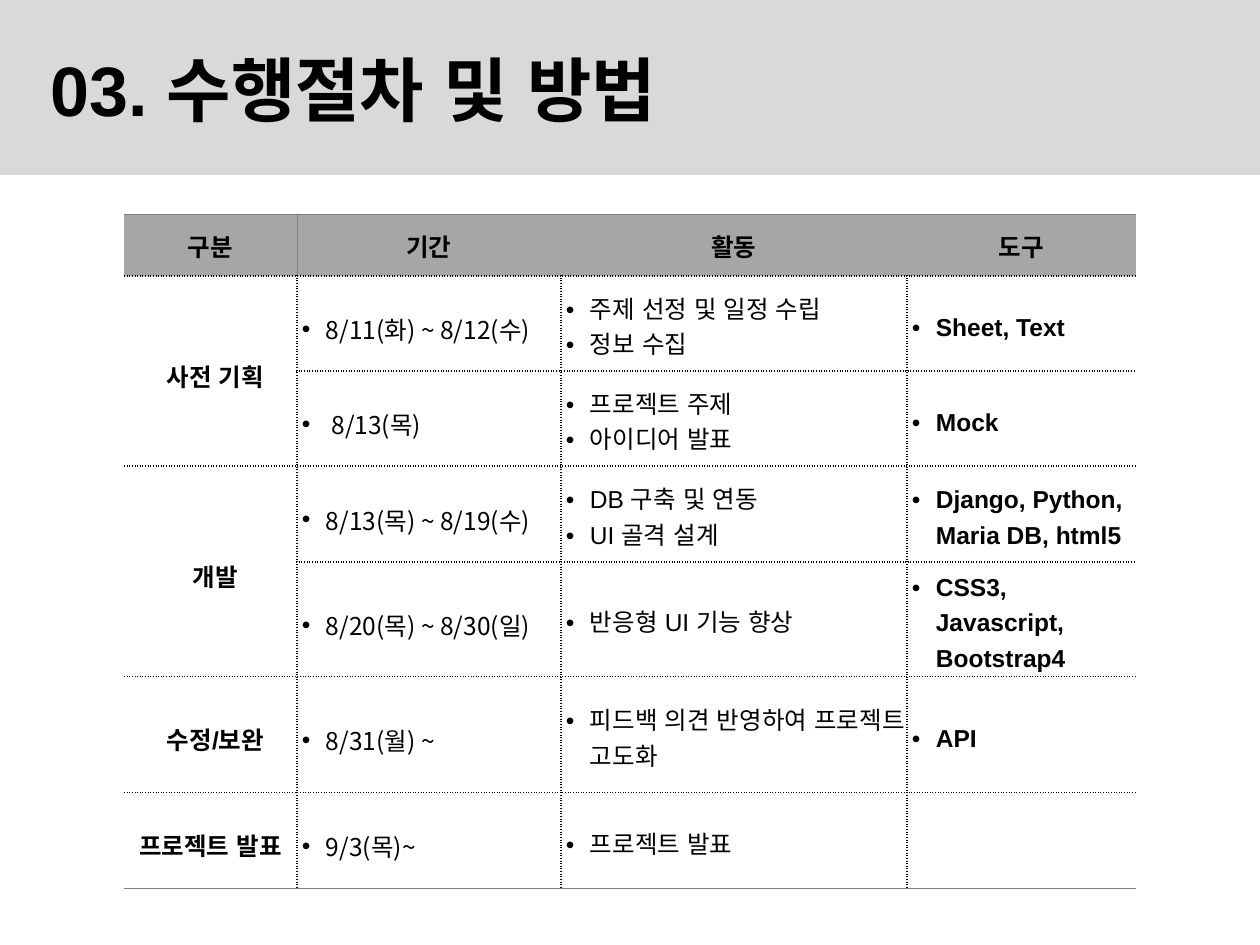
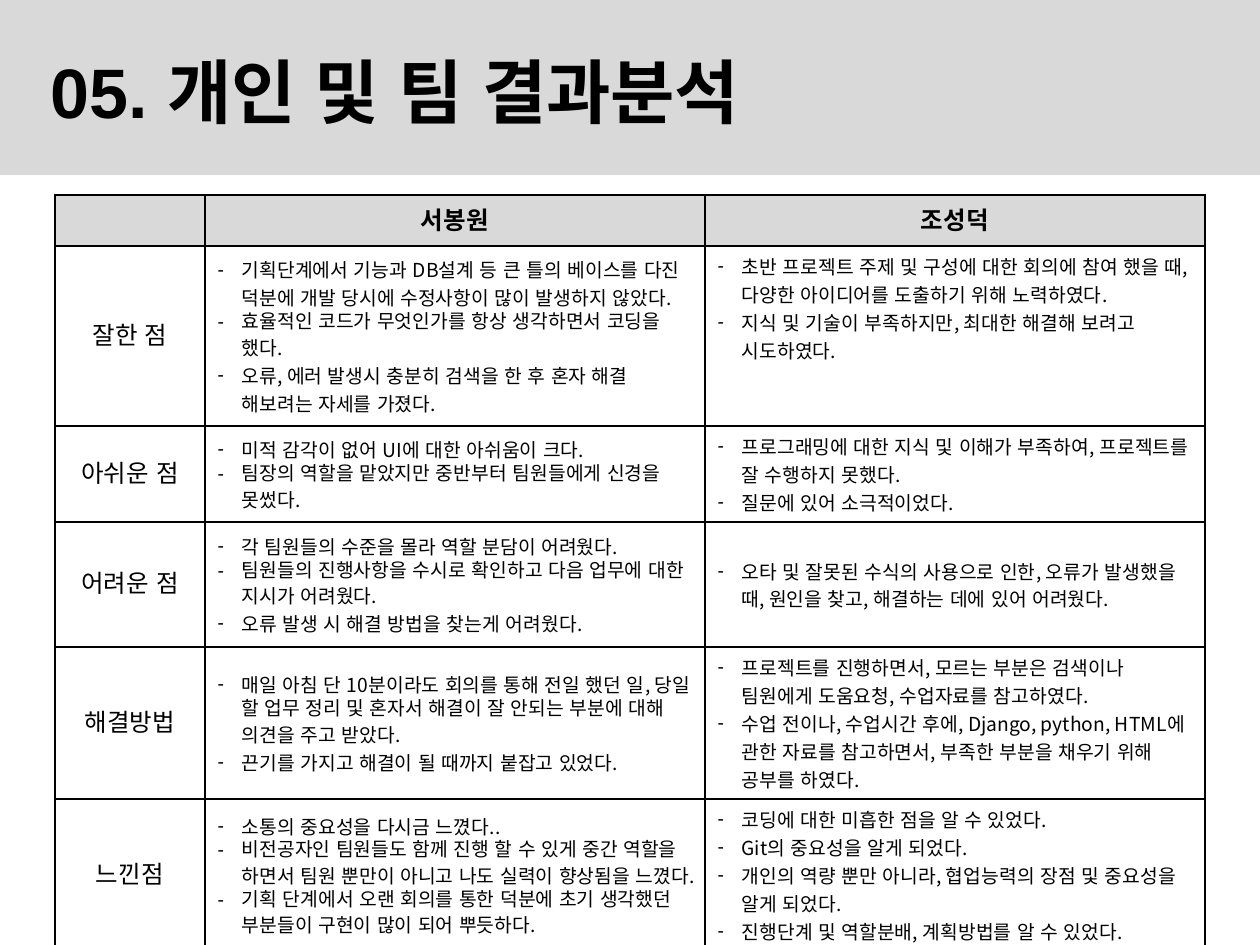
from lxml import etree
from pptx import Presentation
from pptx.dml.color import RGBColor
from pptx.enum.shapes import MSO_SHAPE
from pptx.enum.text import MSO_ANCHOR, PP_ALIGN
from pptx.oxml.ns import qn
from pptx.util import Pt

PX = 7257  # EMU in one px, 126 px to the inch
RECT = MSO_SHAPE.RECTANGLE
MIDDLE, TOP = MSO_ANCHOR.MIDDLE, MSO_ANCHOR.TOP
LEFT, CENTER = PP_ALIGN.LEFT, PP_ALIGN.CENTER
LATIN, KOREAN = "Arial", "Noto Sans CJK KR"
BLACK, BAND, HEADER, RULE = "000000", "D9D9D9", "A6A6A6", "808080"
DOTTED = (BLACK, 1, "sysDot")
SOLID = (BLACK, 1, "solid")
THIN = (RULE, 0.5, "solid")
INDENT = 24
rgb = RGBColor.from_string


def write(tf, text, size=14, bold=False, font=LATIN, align=LEFT, spacing=None, bullet=None):
    """Fill a text frame, one paragraph for each line of text."""
    for i, line in enumerate(text.split("\n")):
        p = tf.add_paragraph() if i else tf.paragraphs[0]
        p.alignment = align
        if spacing:
            p.line_spacing = spacing
        if bullet:
            pPr = p._p.get_or_add_pPr()
            pPr.set("marL", str(INDENT * PX))
            pPr.set("indent", str(-INDENT * PX))
            etree.SubElement(pPr, qn("a:buFont"), typeface=LATIN)
            etree.SubElement(pPr, qn("a:buChar"), char=bullet)
        r = p.add_run()
        r.text = line
        r.font.size, r.font.bold, r.font.name = Pt(size), bold, font
        r.font.color.rgb = rgb(BLACK)
        etree.SubElement(r._r.get_or_add_rPr(), qn("a:ea"), typeface=LATIN)


def set_edges(cell, left, right, top, bottom):
    """Draw the four cell borders; None leaves a side without a line."""
    tcPr = cell._tc.get_or_add_tcPr()
    for i, (side, edge) in enumerate(zip("LRTB", (left, right, top, bottom))):
        ln = etree.Element(qn(f"a:ln{side}"))
        tcPr.insert(i, ln)
        if edge is None:
            etree.SubElement(ln, qn("a:noFill"))
            continue
        color, width, dash = edge
        ln.set("w", str(Pt(width)))
        fill = etree.SubElement(ln, qn("a:solidFill"))
        etree.SubElement(fill, qn("a:srgbClr"), val=color)
        etree.SubElement(ln, qn("a:prstDash"), val=dash)


schedule = [
    ["구분", "기간", "활동", "도구"],
    ["사전 기획", "8/11(화) ~ 8/12(수)", "주제 선정 및 일정 수립\n정보 수집", "Sheet, Text"],
    ["", " 8/13(목)", "프로젝트 주제\n아이디어 발표", "Mock"],
    ["개발", "8/13(목) ~ 8/19(수)", "DB 구축 및 연동\nUI 골격 설계",
     "Django, Python, Maria DB, html5"],
    ["", "8/20(목) ~ 8/30(일)", "반응형 UI 기능 향상", "CSS3, Javascript, Bootstrap4"],
    ["수정/보완", "8/31(월) ~", "피드백 의견 반영하여 프로젝트 고도화", "API"],
    ["프로젝트 발표", "9/3(목)~", "프로젝트 발표", ""],
]
review = [
    ["", "서봉원", "조성덕"],
    ["잘한 점",
     "기획단계에서 기능과 DB설계 등 큰 틀의 베이스를 다진 덕분에 개발 당시에 수정사항이 많이 발생하지 않았다.\n"
     "효율적인 코드가 무엇인가를 항상 생각하면서 코딩을 했다.\n"
     "오류, 에러 발생시 충분히 검색을 한 후 혼자 해결 해보려는 자세를 가졌다.",
     "초반 프로젝트 주제 및 구성에 대한 회의에 참여 했을 때, 다양한 아이디어를 도출하기 위해 노력하였다.\n"
     "지식 및 기술이 부족하지만, 최대한 해결해 보려고 시도하였다."],
    ["아쉬운 점",
     "미적 감각이 없어 UI에 대한 아쉬움이 크다.\n"
     "팀장의 역할을 맡았지만 중반부터 팀원들에게 신경을 못썼다.",
     "프로그래밍에 대한 지식 및 이해가 부족하여, 프로젝트를 잘 수행하지 못했다.\n"
     "질문에 있어 소극적이었다."],
    ["어려운 점",
     "각 팀원들의 수준을 몰라 역할 분담이 어려웠다.\n"
     "팀원들의 진행사항을 수시로 확인하고 다음 업무에 대한 지시가 어려웠다.\n"
     "오류 발생 시 해결 방법을 찾는게 어려웠다.",
     "오타 및 잘못된 수식의 사용으로 인한, 오류가 발생했을 때, 원인을 찾고, 해결하는 데에 있어 어려웠다."],
    ["해결방법",
     "매일 아침 단 10분이라도 회의를 통해 전일 했던 일, 당일 할 업무 정리 및 혼자서 해결이 잘 안되는 부분에 "
     "대해 의견을 주고 받았다.\n"
     "끈기를 가지고 해결이 될 때까지 붙잡고 있었다.",
     "프로젝트를 진행하면서, 모르는 부분은 검색이나 팀원에게 도움요청, 수업자료를 참고하였다.\n"
     "수업 전이나, 수업시간 후에, Django, python, HTML에 관한 자료를 참고하면서, 부족한 부분을 채우기 위해 "
     "공부를 하였다."],
    ["느낀점",
     "소통의 중요성을 다시금 느꼈다..\n"
     "비전공자인 팀원들도 함께 진행 할 수 있게 중간 역할을 하면서 팀원 뿐만이 아니고 나도 실력이 향상됨을 느꼈다.\n"
     "기획 단계에서 오랜 회의를 통한 덕분에 초기 생각했던 부분들이 구현이 많이 되어 뿌듯하다.",
     "코딩에 대한 미흡한 점을 알 수 있었다.\n"
     "Git의 중요성을 알게 되었다.\n"
     "개인의 역량 뿐만 아니라, 협업능력의 장점 및 중요성을 알게 되었다.\n"
     "진행단계 및 역할분배, 계획방법를 알 수 있었다."],
]

# title, title width and height, table left and top, column widths, row heights
pages = [
    ("03. 수행절차 및 방법", 937, 74, 124, 214,
     [173, 264, 346, 229], [62, 95, 95, 96, 108, 116, 96]),
    ("05. 개인 및 팀 결과분석", 1065, 77, 55, 195,
     [150, 500, 500], [51, 180, 96, 125, 152, 152]),
]

prs = Presentation()
prs.slide_width, prs.slide_height = 1260 * PX, 945 * PX
tables = []
for title, title_w, title_h, left, top, widths, heights in pages:
    s = prs.slides.add_slide(prs.slide_layouts[6])
    band = s.shapes.add_shape(RECT, 0, 0, prs.slide_width, 175 * PX)
    band.shadow.inherit = False
    band.fill.solid()
    band.fill.fore_color.rgb = rgb(BAND)
    band.line.fill.background()

    sp = s.shapes.add_textbox(38 * PX, 52 * PX, title_w * PX, title_h * PX)
    tf = sp.text_frame
    tf.word_wrap = True
    tf.vertical_anchor = MIDDLE
    write(tf, title, size=40, bold=True)

    table = s.shapes.add_table(len(heights), len(widths), left * PX, top * PX,
                               sum(widths) * PX, sum(heights) * PX).table
    table.first_row = table.horz_banding = False
    for column, width in zip(table.columns, widths):
        column.width = width * PX
    for row, height in zip(table.rows, heights):
        row.height = height * PX
    tables.append(table)
schedule_table, review_table = tables

# Schedule: dotted inner lines, thin grey rules above and below, open sides
last_row, last_col = len(schedule) - 1, len(schedule[0]) - 1
for i, row in enumerate(schedule):
    for j, text in enumerate(row):
        cell = schedule_table.cell(i, j)
        cell.vertical_anchor = MIDDLE
        cell.margin_left = cell.margin_right = cell.margin_top = cell.margin_bottom = 0
        if i == 0:
            cell.fill.solid()
            cell.fill.fore_color.rgb = rgb(HEADER)
            set_edges(cell, THIN if j == 1 else None, THIN if j == 0 else None, THIN, DOTTED)
            style = dict(bold=True, align=CENTER, spacing=1.2)
        else:
            cell.fill.background()
            set_edges(cell, DOTTED if j else None, DOTTED if j < last_col else None,
                      DOTTED, THIN if i == last_row else DOTTED)
            if j == 0:
                cell.margin_left = 0 if i == last_row else 10 * PX
                style = dict(bold=True, align=CENTER, spacing=1.5)
            else:
                cell.margin_left = 5 * PX
                style = dict(bold=j == last_col, font=KOREAN if j == 1 else LATIN,
                             spacing=1.3, bullet="•")
        if text:
            write(cell.text_frame, text, **style)
for first in (1, 3):
    schedule_table.cell(first, 0).merge(schedule_table.cell(first + 1, 0))

# Review: full black grid
for i, row in enumerate(review):
    for j, text in enumerate(row):
        cell = review_table.cell(i, j)
        cell.vertical_anchor = TOP if (i, j) == (1, 2) else MIDDLE
        if i == 0:
            cell.fill.solid()
            cell.fill.fore_color.rgb = rgb(BAND)
        else:
            cell.fill.background()
        set_edges(cell, SOLID, SOLID, SOLID, SOLID)
        if i and j:
            write(cell.text_frame, text, size=11, font=KOREAN, bullet="-")
        elif text:
            write(cell.text_frame, text, bold=i == 0, font=KOREAN, align=CENTER)

prs.save("out.pptx")
